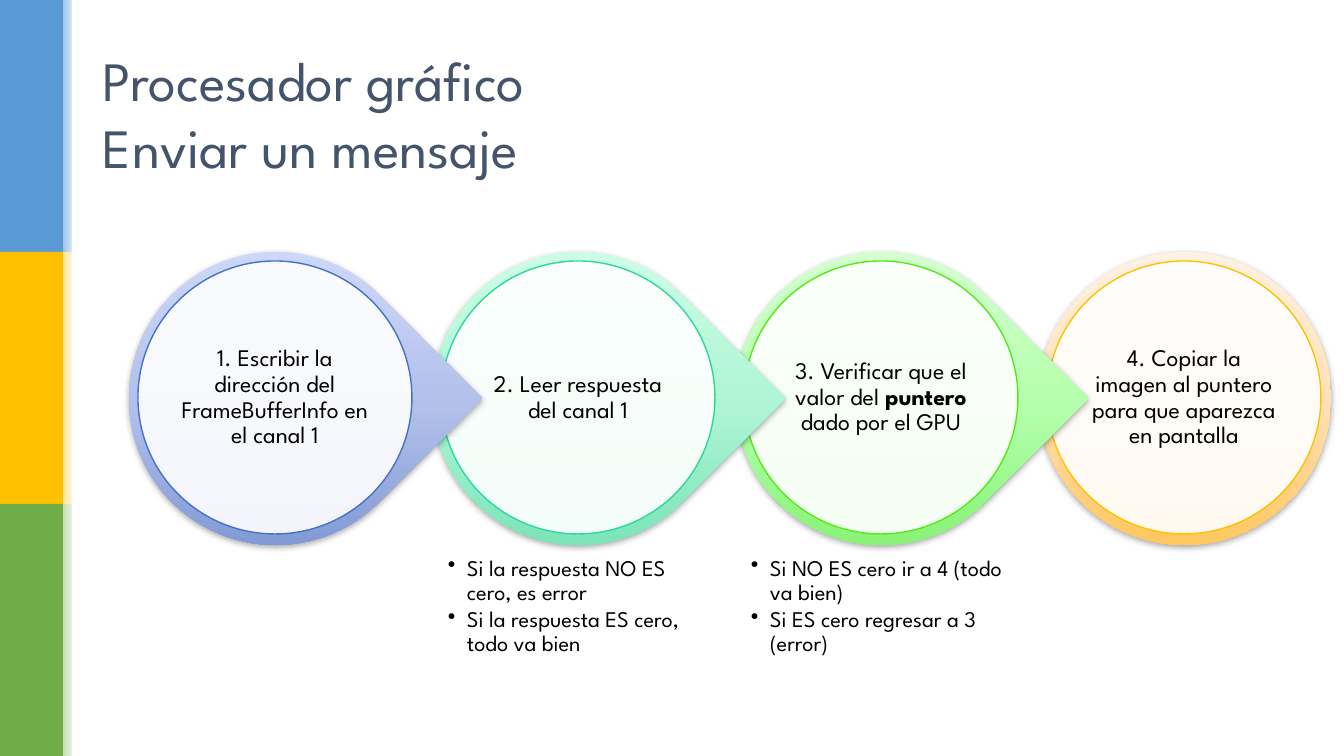
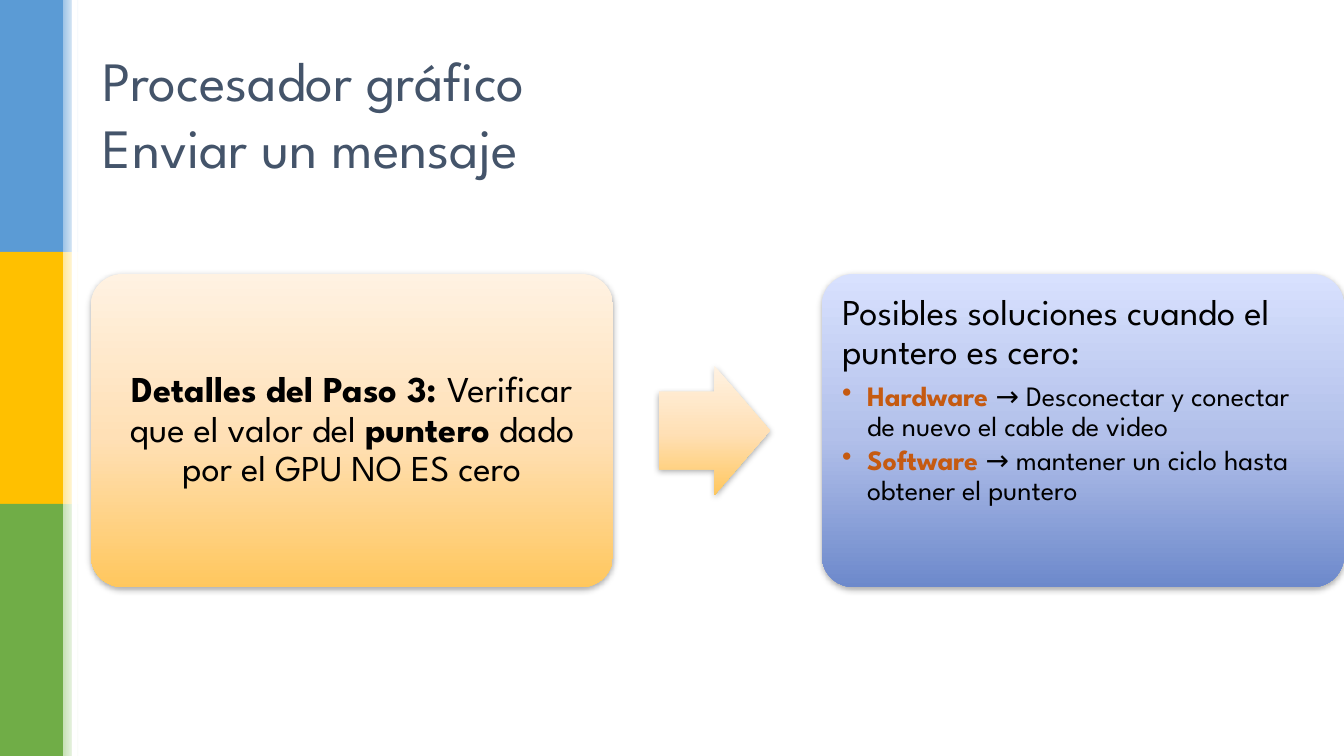
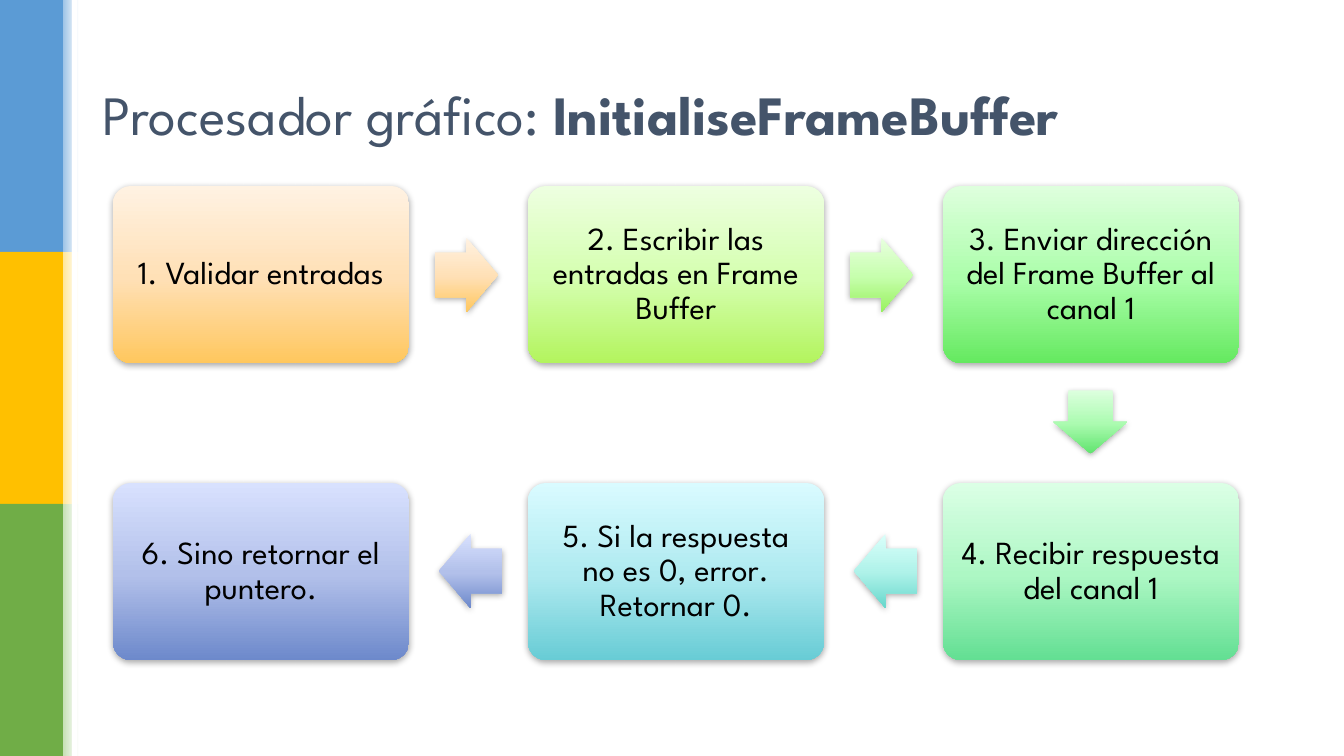
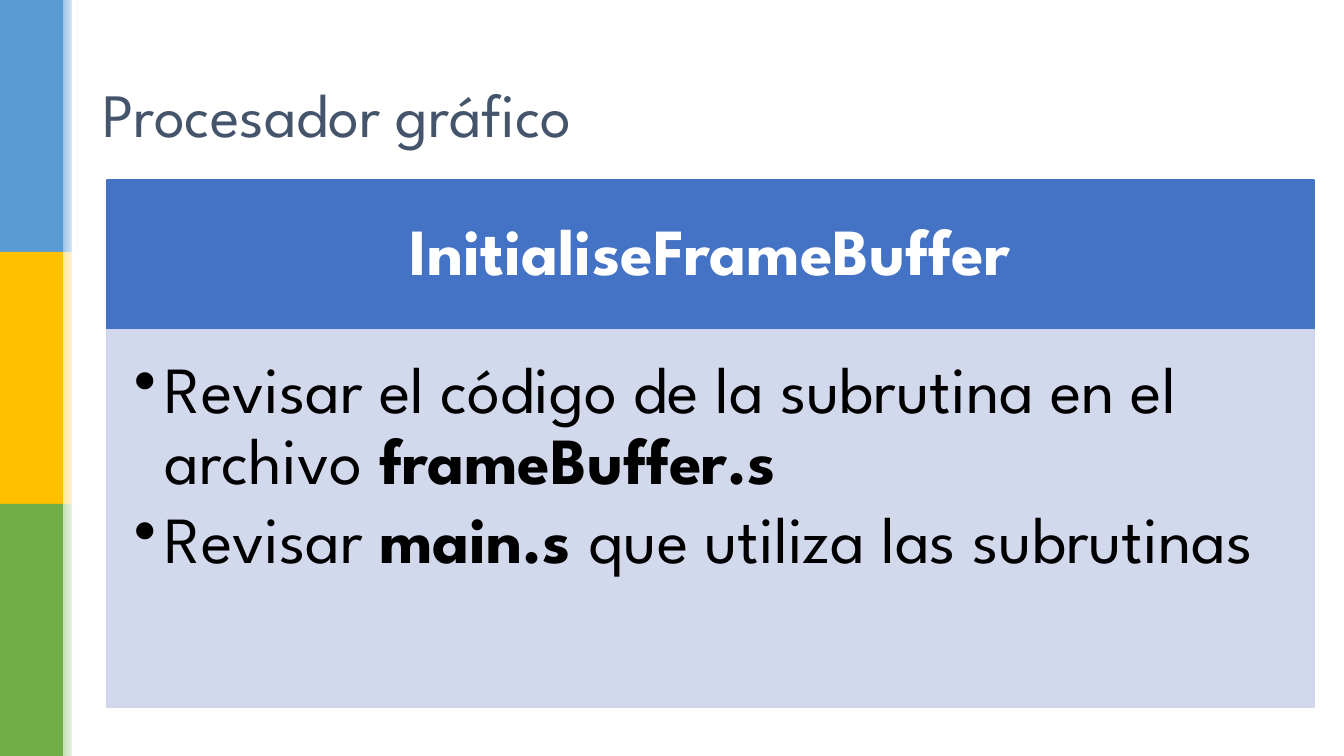
from lxml.etree import SubElement
from pptx import Presentation
from pptx.dml.color import RGBColor
from pptx.enum.shapes import MSO_SHAPE
from pptx.enum.text import MSO_ANCHOR, PP_ALIGN
from pptx.oxml.ns import qn
from pptx.util import Pt

PIXEL = 914400 / 100.8
WIDTH, HEIGHT = 1344, 756
FONT = "League Spartan"

BLACK = RGBColor(0x00, 0x00, 0x00)
WHITE = RGBColor(0xFF, 0xFF, 0xFF)
SLATE = RGBColor(0x44, 0x54, 0x6A)
RUST = RGBColor(0xC5, 0x5A, 0x11)
BLUE = RGBColor(0x44, 0x72, 0xC4)
PALE_BLUE = RGBColor(0xCF, 0xD5, 0xEA)
GOLD = RGBColor(0xFF, 0xC0, 0x00)
LIME = RGBColor(0x53, 0xEB, 0x17)
TEAL = RGBColor(0x2E, 0xD7, 0xA1)

# Each band: solid colour and the tint that fades to white beside it
BANDS = [
    (RGBColor(0x5B, 0x9B, 0xD5), RGBColor(0x9D, 0xC3, 0xE6)),
    (GOLD, RGBColor(0xFF, 0xE6, 0x99)),
    (RGBColor(0x70, 0xAD, 0x47), RGBColor(0xC5, 0xE0, 0xB4)),
]

# Gradients run from top to bottom
ORANGE_FADE = [RGBColor(0xFF, 0xF2, 0xE2), RGBColor(0xFF, 0xE0, 0xB6), RGBColor(0xFF, 0xC7, 0x5E)]
YELLOW_GREEN_FADE = [RGBColor(0xED, 0xFF, 0xE0), RGBColor(0xD5, 0xFF, 0xB0), RGBColor(0xB3, 0xF4, 0x5E)]
LIME_FADE = [RGBColor(0xE8, 0xFF, 0xDF), RGBColor(0xC7, 0xFF, 0xAE), RGBColor(0x98, 0xF1, 0x5E)]
LEAF_FADE = [RGBColor(0xE1, 0xFF, 0xDE), RGBColor(0xB4, 0xFF, 0xAC), RGBColor(0x76, 0xED, 0x5F)]
GREEN_FADE = [RGBColor(0xDE, 0xFF, 0xDD), RGBColor(0xAC, 0xFE, 0xAB), RGBColor(0x65, 0xE9, 0x60)]
EMERALD_FADE = [RGBColor(0xDC, 0xFF, 0xDE), RGBColor(0xAC, 0xFB, 0xB1), RGBColor(0x61, 0xE4, 0x6F)]
JADE_FADE = [RGBColor(0xDB, 0xFF, 0xE5), RGBColor(0xAD, 0xF7, 0xC4), RGBColor(0x63, 0xDF, 0x93)]
MINT_FADE = [RGBColor(0xDA, 0xFF, 0xED), RGBColor(0xAE, 0xF5, 0xD4), RGBColor(0x64, 0xDC, 0xAD)]
TURQUOISE_FADE = [RGBColor(0xD9, 0xFF, 0xFA), RGBColor(0xAF, 0xF2, 0xE9), RGBColor(0x66, 0xD7, 0xCC)]
CYAN_FADE = [RGBColor(0xD9, 0xFB, 0xFF), RGBColor(0xAF, 0xEA, 0xF0), RGBColor(0x68, 0xCC, 0xD5)]
BLUE_FADE = [RGBColor(0xD8, 0xE1, 0xFE), RGBColor(0xB2, 0xC0, 0xEA), RGBColor(0x6D, 0x89, 0xCB)]

PLAIN = {}
BOLD = {"bold": True}
CENTERED = {"alignment": PP_ALIGN.CENTER, "line_spacing": 0.9}
LISTED = {"alignment": PP_ALIGN.LEFT, "line_spacing": 0.9, "level": 1}

TITLE = {"size": 39.6, "color": SLATE, "paragraph": {"alignment": PP_ALIGN.LEFT}}
LARGE_TITLE = TITLE | {"size": 44}
STEP = {"size": 17, "paragraph": CENTERED}
STEP_NOTE = {"size": 16, "indent": 19, "paragraph": LISTED | {"space_after": Pt(2)}}
DETAIL = {"size": 26, "paragraph": CENTERED}
DETAIL_HEAD = {"size": 26, "paragraph": {
    "alignment": PP_ALIGN.LEFT, "line_spacing": 0.9, "space_after": Pt(7)}}
DETAIL_ITEM = {"size": 20, "indent": 25, "paragraph": LISTED | {"space_after": Pt(2.4)}}
STAGE = {"size": 23, "paragraph": CENTERED}
PANEL_HEAD = {"size": 47, "color": WHITE, "paragraph": CENTERED}
PANEL_ITEM = {"size": 47, "indent": 31, "paragraph": LISTED | {"space_after": Pt(5.6)}}


def add_shape(slide, preset, frame, fill, line=None, weight=1, alpha=100,
              shadow=False, rotation=0, adjustments=(), angle=90):
    """Draw a preset shape with a solid colour or a list of gradient colours."""
    shape = slide.shapes.add_shape(preset, *[round(length * PIXEL) for length in frame])
    shape.rotation = rotation
    for index, value in enumerate(adjustments):
        shape.adjustments[index] = value
    properties = shape._element.spPr
    if isinstance(fill, list):
        gradient = SubElement(properties, qn("a:gradFill"), rotWithShape="0")
        stops = SubElement(gradient, qn("a:gsLst"))
        for position, color in zip((0, 52, 100) if len(fill) == 3 else (0, 100), fill):
            stop = SubElement(stops, qn("a:gs"), pos=str(position * 1000))
            SubElement(stop, qn("a:srgbClr"), val=str(color))
        SubElement(gradient, qn("a:lin"), ang=str(angle * 60000), scaled="0")
    else:
        shape.fill.solid()
        shape.fill.fore_color.rgb = fill
        if alpha < 100:
            color = properties.find(qn("a:solidFill")).find(qn("a:srgbClr"))
            SubElement(color, qn("a:alpha"), val=str(alpha * 1000))
    if line is None:
        shape.line.fill.background()
    else:
        shape.line.color.rgb = line
        shape.line.width = Pt(weight)
    shape.shadow.inherit = False
    if shadow:
        outer = SubElement(properties.find(qn("a:effectLst")), qn("a:outerShdw"), blurRad="57150",
                           dist="19050", dir="5400000", algn="ctr", rotWithShape="0")
        color = SubElement(outer, qn("a:srgbClr"), val=str(BLACK))
        SubElement(color, qn("a:alpha"), val="32000")
    return shape


def write(shape, paragraphs, insets, anchor=MSO_ANCHOR.MIDDLE):
    """Fill a shape with (style, runs) paragraphs; a run is a text and its font changes."""
    frame = shape.text_frame
    sides = ("margin_left", "margin_top", "margin_right", "margin_bottom")
    settings = {side: round(inset * PIXEL) for side, inset in zip(sides, insets)}
    settings |= {"word_wrap": True, "vertical_anchor": anchor}
    for name, value in settings.items():
        setattr(frame, name, value)
    for index, (style, runs) in enumerate(paragraphs):
        paragraph = frame.add_paragraph() if index else frame.paragraphs[0]
        for name, value in style["paragraph"].items():
            setattr(paragraph, name, value)
        if "indent" in style:
            indent = round(style["indent"] * PIXEL)
            properties = paragraph._p.get_or_add_pPr()
            properties.set("marL", str(indent))
            properties.set("indent", str(-indent))
            SubElement(properties, qn("a:buChar"), char="•")
        for text, changes in runs:
            if text == "\n":
                paragraph.add_line_break()
                continue
            run = paragraph.add_run()
            run.text = text
            values = {"name": FONT, "size": Pt(style["size"]), "bold": False} | changes
            run.font.color.rgb = values.pop("color", style.get("color", BLACK))
            for name, value in values.items():
                setattr(run.font, name, value)


presentation = Presentation()
presentation.slide_width = round(WIDTH * PIXEL)
presentation.slide_height = round(HEIGHT * PIXEL)

# Shared bands and titles
message_title = [("Procesador gráfico", PLAIN), ("\n", PLAIN), ("Enviar un mensaje", PLAIN)]
titles = [
    (TITLE, message_title),
    (TITLE, message_title),
    (TITLE, [("Procesador gráfico: ", PLAIN), ("InitialiseFrameBuffer", BOLD)]),
    (LARGE_TITLE, [("Procesador gráfico", PLAIN)]),
]
slides = []
band_height = HEIGHT // len(BANDS)
for title in titles:
    slide = presentation.slides.add_slide(presentation.slide_layouts[6])
    for row, (color, tint) in enumerate(BANDS):
        top = row * band_height
        add_shape(slide, MSO_SHAPE.RECTANGLE, (0, top, 63, band_height), color)
        add_shape(slide, MSO_SHAPE.RECTANGLE, (63, top, 16, band_height), [tint, WHITE], angle=0)
    add_shape(slide, MSO_SHAPE.RECTANGLE, (72, 0, 5, HEIGHT), WHITE)
    title_box = slide.shapes.add_textbox(*[round(length * PIXEL) for length in (93, 40, 1159, 146)])
    write(title_box, [title], (10, 5, 10, 5))
    slides.append(slide)
steps_slide, detail_slide, stages_slide, review_slide = slides

# Slide 1: four steps, each pointing over the next one
steps = [
    (BLUE_FADE, BLUE, [("1. Escribir la dirección del FrameBufferInfo en el canal 1", PLAIN)], []),
    (MINT_FADE, TEAL, [("2. Leer respuesta del canal 1", PLAIN)],
     ["Si la respuesta NO ES cero, es error", "Si la respuesta ES cero, todo va bien"]),
    (LEAF_FADE, LIME,
     [("3. Verificar que el valor del ", PLAIN), ("puntero", BOLD), (" dado por el GPU", PLAIN)],
     ["Si NO ES cero ir a 4 (todo va bien)", "Si ES cero regresar a 3 (error)"]),
    (ORANGE_FADE, GOLD,
     [("4. Copiar la imagen al puntero para que aparezca en pantalla", PLAIN)], []),
]
for column, (fade, outline, runs, notes) in reversed(list(enumerate(steps))):
    left = 129 + column * 303
    is_last = column == len(steps) - 1
    add_shape(steps_slide, MSO_SHAPE.OVAL if is_last else MSO_SHAPE.TEAR, (left, 252, 293, 293),
              fade, shadow=True, rotation=0 if is_last else 45)
    circle = add_shape(steps_slide, MSO_SHAPE.OVAL, (left + 9, 261, 274, 273), WHITE,
                       line=outline, alpha=90)
    write(circle, [(STEP, runs)], (2, 2, 2, 2))
    if notes:
        note_box = steps_slide.shapes.add_textbox(
            *[round(length * PIXEL) for length in (left + 9, 550, 274, 160)])
        write(note_box, [(STEP_NOTE, [(note, PLAIN)]) for note in notes], (7, 7, 7, 7), MSO_ANCHOR.TOP)

# Slide 2: step 3 and its solutions
problem = add_shape(detail_slide, MSO_SHAPE.ROUNDED_RECTANGLE, (91, 274, 522, 313), ORANGE_FADE,
                    shadow=True, adjustments=(0.1,))
write(problem, [(DETAIL, [
    ("Detalles del Paso 3: ", BOLD), ("Verificar que el valor del ", PLAIN),
    ("puntero", BOLD), (" dado por el GPU NO ES cero", PLAIN)])], (11, 11, 11, 11))
add_shape(detail_slide, MSO_SHAPE.RIGHT_ARROW, (659, 366, 111, 129), ORANGE_FADE,
          shadow=True, adjustments=(0.6, 0.5))
solutions = add_shape(detail_slide, MSO_SHAPE.ROUNDED_RECTANGLE, (822, 274, 522, 313), BLUE_FADE,
                      shadow=True, adjustments=(0.1,))
KEYWORD = BOLD | {"color": RUST}
write(solutions, [
    (DETAIL_HEAD, [("Posibles soluciones cuando el puntero es cero:", PLAIN)]),
    (DETAIL_ITEM, [("Hardware ", KEYWORD),
                   ("→ Desconectar y conectar de nuevo el cable de video", PLAIN)]),
    (DETAIL_ITEM, [("Software ", KEYWORD),
                   ("→ mantener un ciclo hasta obtener el puntero", PLAIN)]),
], (11, 11, 11, 11), MSO_ANCHOR.TOP)

# Slide 3: six stages, there and back
stages = [
    (0, 0, ORANGE_FADE, "1. Validar entradas"),
    (1, 0, YELLOW_GREEN_FADE, "2. Escribir las entradas en Frame Buffer"),
    (2, 0, GREEN_FADE, "3. Enviar dirección del Frame Buffer al canal 1"),
    (2, 1, JADE_FADE, "4. Recibir respuesta del canal 1"),
    (1, 1, CYAN_FADE, "5. Si la respuesta no es 0, error. Retornar 0."),
    (0, 1, BLUE_FADE, "6. Sino retornar el puntero."),
]
for column, row, fade, text in stages:
    stage = add_shape(stages_slide, MSO_SHAPE.ROUNDED_RECTANGLE,
                      (113 + column * 415, 186 + row * 297, 296, 177), fade,
                      shadow=True, adjustments=(0.1,))
    write(stage, [(STAGE, [(text, PLAIN)])], (10, 10, 10, 10))
stage_arrows = [
    (435, 238, 0, ORANGE_FADE),
    (850, 238, 0, LIME_FADE),
    (1059, 385, 90, EMERALD_FADE),
    (854, 534, 180, TURQUOISE_FADE),
    (439, 534, 180, BLUE_FADE),
]
for left, top, rotation, fade in stage_arrows:
    add_shape(stages_slide, MSO_SHAPE.RIGHT_ARROW, (left, top, 63, 74), fade,
              shadow=True, rotation=rotation, adjustments=(0.6, 0.5))

# Slide 4: code to review
header = add_shape(review_slide, MSO_SHAPE.RECTANGLE, (107, 180, 1207, 149), BLUE,
                   line=BLUE, weight=1.5)
write(header, [(PANEL_HEAD, [("InitialiseFrameBuffer", BOLD)])], (37, 21, 37, 21))
panel = add_shape(review_slide, MSO_SHAPE.RECTANGLE, (107, 330, 1207, 377), PALE_BLUE,
                  line=PALE_BLUE, weight=1.5, alpha=90)
write(panel, [
    (PANEL_ITEM, [("Revisar el código de la subrutina en el archivo ", PLAIN),
                  ("frameBuffer.s", BOLD)]),
    (PANEL_ITEM, [("Revisar ", PLAIN), ("main.s ", BOLD), ("que utiliza las subrutinas", PLAIN)]),
], (27, 27, 37, 41), MSO_ANCHOR.TOP)

presentation.save("out.pptx")
